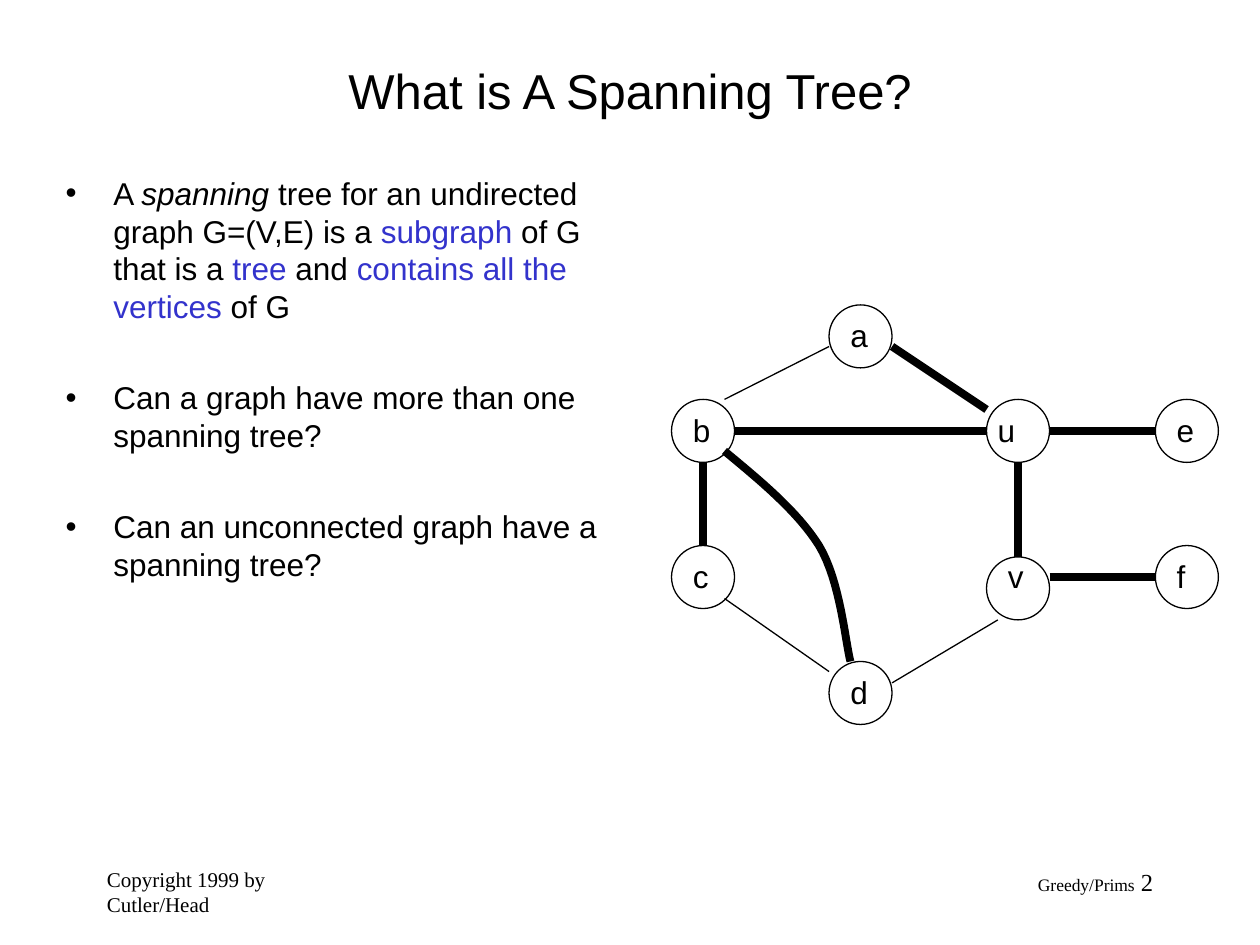
from dataclasses import dataclass

from lxml import etree
from pptx import Presentation
from pptx.dml.color import RGBColor
from pptx.enum.shapes import MSO_CONNECTOR, MSO_SHAPE
from pptx.enum.text import MSO_ANCHOR, MSO_AUTO_SIZE, PP_ALIGN
from pptx.oxml.ns import qn
from pptx.util import Inches, Pt

STRAIGHT = MSO_CONNECTOR.STRAIGHT
OVAL = MSO_SHAPE.OVAL
MIDDLE = MSO_ANCHOR.MIDDLE
NO_AUTOFIT, GROW = MSO_AUTO_SIZE.NONE, MSO_AUTO_SIZE.SHAPE_TO_FIT_TEXT
LEFT, CENTER, RIGHT = PP_ALIGN.LEFT, PP_ALIGN.CENTER, PP_ALIGN.RIGHT

COLORS = {"ink": "000000", "key": "3333CC"}
SANS, SERIF = "Arial", "Times New Roman"
NODE_SIZE = 0.5
THIN, TREE = 0.75, 4.5  # line widths of ordinary and spanning-tree edges


@dataclass(frozen=True)
class Node:
    name: str
    left: float
    top: float
    label_dx: float = 0.07
    label_dy: float = 0.04
    label_width: float = 0.34


@dataclass(frozen=True)
class Edge:
    start: tuple[float, float]
    end: tuple[float, float]
    width: float = TREE


@dataclass(frozen=True)
class Phrase:
    text: str
    color: str = "ink"
    italic: bool = False


NODES = [
    Node("b", 5.33, 3.17),
    Node("c", 5.33, 4.33, label_width=0.32),
    Node("a", 6.58, 2.42),
    Node("u", 7.83, 3.17, label_dx=-0.01),
    Node("d", 6.58, 5.25),
    Node("v", 7.83, 4.42, label_dy=-0.05, label_width=0.32),
    Node("e", 9.17, 3.17),
    Node("f", 9.17, 4.33, label_width=0.27),
]
EDGES = [
    Edge((5.58, 3.67), (5.58, 4.33)),
    Edge((5.75, 3.17), (6.58, 2.75), THIN),
    Edge((5.75, 4.75), (6.58, 5.33), THIN),
    Edge((7.08, 5.42), (7.92, 4.92), THIN),
    Edge((7.08, 2.75), (7.83, 3.25)),
    Edge((8.08, 3.67), (8.08, 4.42)),
    Edge((5.83, 3.42), (7.83, 3.42)),
    Edge((8.33, 3.42), (9.17, 3.42)),
    Edge((8.33, 4.58), (9.17, 4.58)),
]
# Cubic segments of the curved edge from b to d
CURVE = [
    ((5.75, 3.58), (6.04, 3.82), (6.33, 4.06), (6.5, 4.33)),
    ((6.5, 4.33), (6.67, 4.61), (6.71, 5.1), (6.75, 5.25)),
]
BULLETS = [
    [
        Phrase("A "),
        Phrase("spanning", italic=True),
        Phrase(" tree for an undirected graph G=(V,E) is a "),
        Phrase("subgraph", "key"),
        Phrase(" of G that is a "),
        Phrase("tree", "key"),
        Phrase(" and "),
        Phrase("contains all the vertices", "key"),
        Phrase(" of G"),
    ],
    [Phrase("Can a graph have more than one spanning tree?")],
    [Phrase("Can an unconnected graph have a spanning tree?")],
]


def rgb(color: str) -> RGBColor:
    return RGBColor.from_string(COLORS[color])


def place(shape, left: float, top: float, width: float, height: float) -> None:
    shape.left, shape.top = Inches(left), Inches(top)
    shape.width, shape.height = Inches(width), Inches(height)


def style(font, family: str, size: float) -> None:
    font.name, font.size = family, Pt(size)
    font.color.rgb = rgb("ink")


def outline(shape, width: float) -> None:
    shape.line.color.rgb = rgb("ink")
    shape.line.width = Pt(width)


def add_node(slide, node: Node) -> None:
    circle = slide.shapes.add_shape(
        OVAL, Inches(node.left), Inches(node.top), Inches(NODE_SIZE), Inches(NODE_SIZE))
    circle.shadow.inherit = False
    circle.fill.background()
    outline(circle, THIN)


def add_label(slide, node: Node) -> None:
    label = slide.shapes.add_textbox(
        Inches(node.left + node.label_dx), Inches(node.top + node.label_dy),
        Inches(node.label_width), Inches(0.4))
    label.text_frame.word_wrap = False
    label.text_frame.auto_size = GROW
    label.text_frame.text = node.name
    style(label.text_frame.paragraphs[0].font, SANS, 18)


def add_edge(slide, edge: Edge) -> None:
    line = slide.shapes.add_connector(STRAIGHT, *map(Inches, edge.start + edge.end))
    outline(line, edge.width)
    etree.SubElement(line._element.spPr, qn("a:effectLst"))


def bezier(points: tuple, t: float) -> tuple[int, int]:
    """Point on a cubic at t, in EMU because a freeform keeps whole units."""
    weights = ((1 - t) ** 3, 3 * t * (1 - t) ** 2, 3 * t**2 * (1 - t), t**3)
    x, y = (sum(w * p[axis] for w, p in zip(weights, points)) for axis in (0, 1))
    return Inches(x), Inches(y)


def add_curve(slide, segments: list, steps: int = 16) -> None:
    points = [bezier(s, i / steps) for s in segments for i in range(1, steps + 1)]
    builder = slide.shapes.build_freeform(*bezier(segments[0], 0))
    builder.add_line_segments(points, close=False)
    curve = builder.convert_to_shape()
    curve.shadow.inherit = False
    curve.fill.background()
    outline(curve, TREE)


def add_footer(slide, left: float, align, parts: list[tuple[str, float]]) -> None:
    box = slide.shapes.add_textbox(Inches(left), Inches(6.83), Inches(2.08), Inches(0.5))
    box.text_frame.word_wrap = True
    paragraph = box.text_frame.paragraphs[0]
    paragraph.alignment = align
    for text, size in parts:
        run = paragraph.add_run()
        run.text = text
        style(run.font, SERIF, size)


def fill_title(title) -> None:
    place(title, 0.75, 0.25, 8.5, 0.92)
    frame = title.text_frame
    frame.text = "What is A Spanning Tree?"
    frame.vertical_anchor = MIDDLE
    frame.auto_size = NO_AUTOFIT
    frame.paragraphs[0].alignment = CENTER
    style(frame.paragraphs[0].font, SANS, 28)


def fill_body(body) -> None:
    place(body, 0.42, 1.33, 4.67, 5.33)
    frame = body.text_frame
    frame.auto_size = NO_AUTOFIT
    for index, phrases in enumerate(BULLETS):
        paragraph = frame.add_paragraph() if index else frame.paragraphs[0]
        paragraph.space_before = Pt(30.5 if index else 4.5)
        style(paragraph.font, SANS, 18)
        properties = paragraph._p.get_or_add_pPr()
        properties.set("marL", str(Inches(0.38)))
        properties.set("indent", str(-Inches(0.38)))
        for phrase in phrases:
            run = paragraph.add_run()
            run.text = phrase.text
            run.font.color.rgb = rgb(phrase.color)
            if phrase.italic:
                run.font.italic = True


def main() -> None:
    prs = Presentation()
    prs.slide_width, prs.slide_height = Inches(10), Inches(7.5)
    slide = prs.slides.add_slide(prs.slide_layouts[1])

    # Title and questions
    fill_title(slide.shapes.title)
    fill_body(slide.placeholders[1])

    # Graph with its spanning tree in bold
    for node in NODES:
        add_node(slide, node)
    for edge in EDGES:
        add_edge(slide, edge)
    add_curve(slide, CURVE)
    for node in NODES:
        add_label(slide, node)

    # Footer
    add_footer(slide, 0.75, LEFT, [("Copyright 1999 by Cutler/Head", 12)])
    add_footer(slide, 7.17, RIGHT, [("Greedy/Prims", 10), (" 2", 14)])

    prs.save("out.pptx")


if __name__ == "__main__":
    main()
